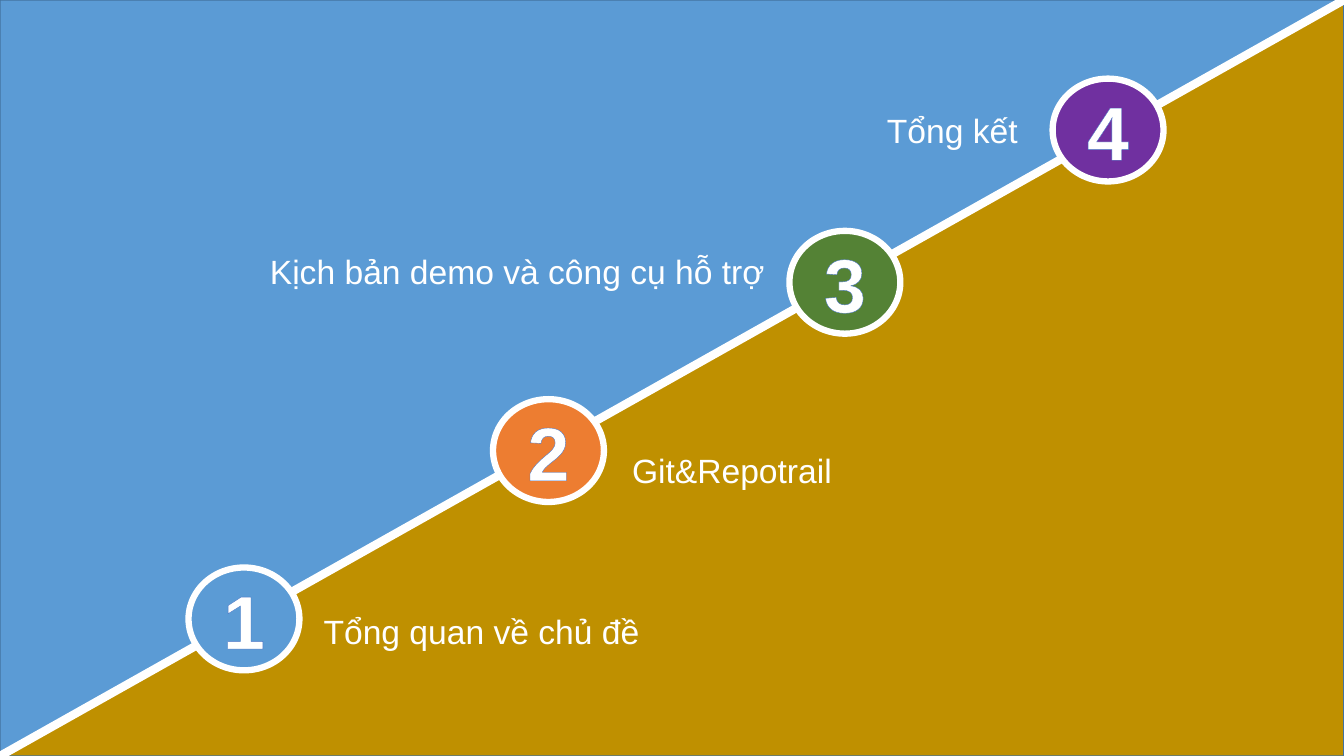
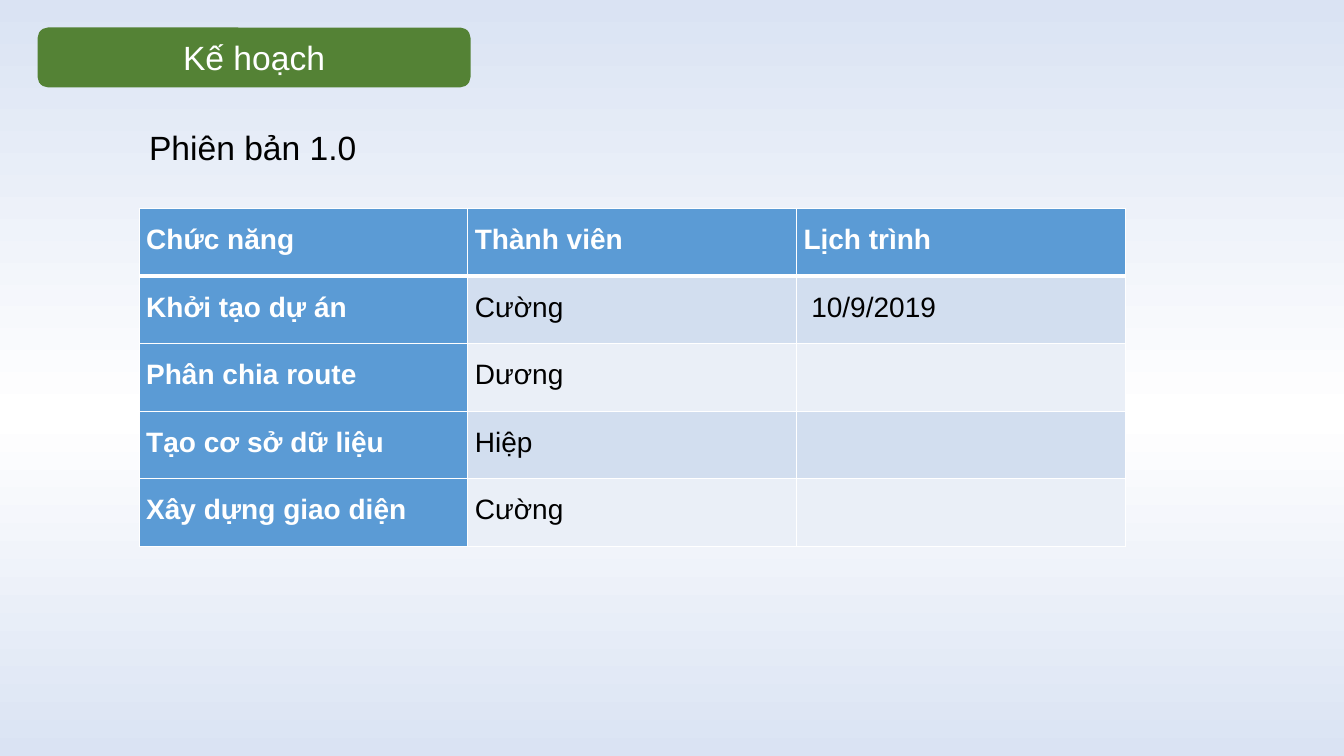
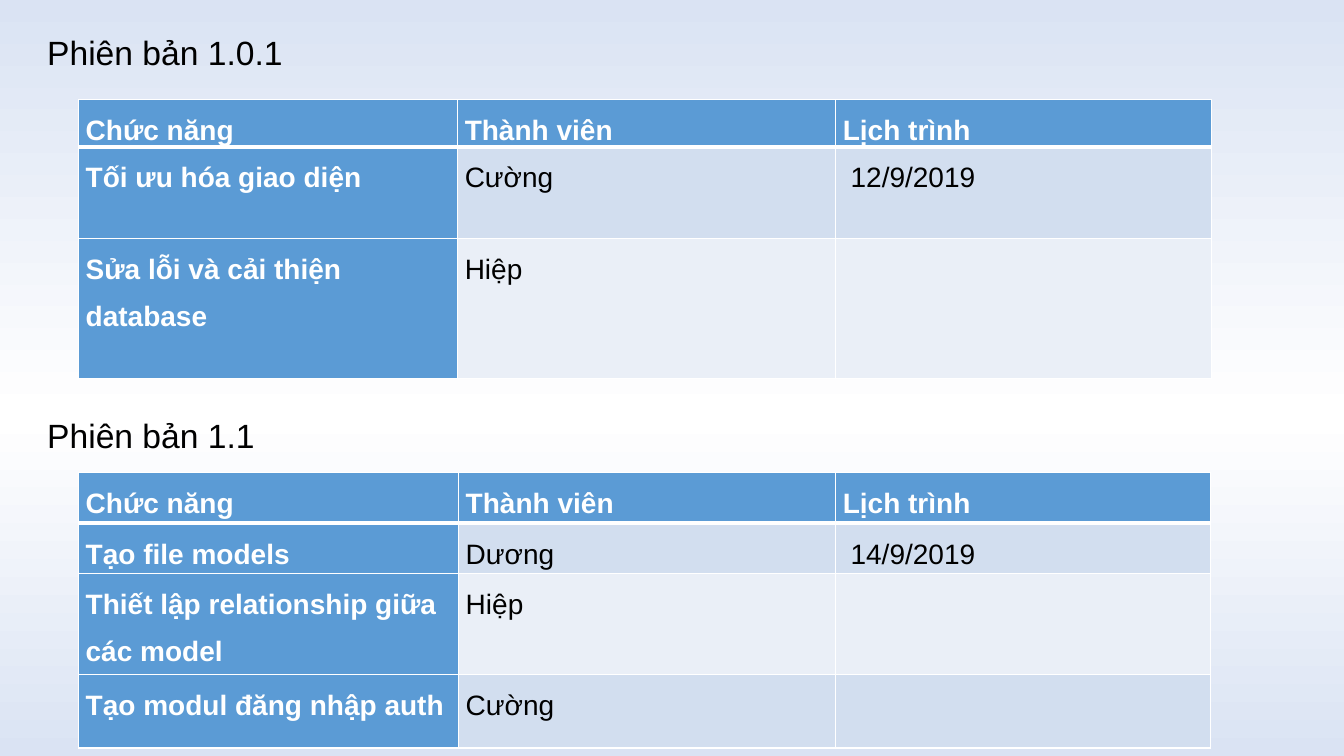
from lxml import etree
from pptx import Presentation
from pptx.dml.color import RGBColor
from pptx.enum.shapes import MSO_CONNECTOR, MSO_SHAPE
from pptx.enum.text import MSO_ANCHOR, MSO_AUTO_SIZE, PP_ALIGN
from pptx.oxml.ns import qn
from pptx.util import Inches, Pt

CENTER, LEFT = PP_ALIGN.CENTER, PP_ALIGN.LEFT
MIDDLE = MSO_ANCHOR.MIDDLE
TRIANGLE, OVAL = MSO_SHAPE.RIGHT_TRIANGLE, MSO_SHAPE.OVAL
ROUNDED = MSO_SHAPE.ROUNDED_RECTANGLE

FONT = "Arial"
WIDTH, HEIGHT = 13.33, 7.5
COLORS = {
    "white": "FFFFFF", "black": "000000", "blue": "5B9BD5", "navy": "43739E",
    "gold": "BF9000", "orange": "ED7D31", "green": "548235", "purple": "7030A0",
    "outline": "4472C4", "haze": "DAE3F3", "band_dark": "D2DEEF", "band_light": "EAEFF7",
}
BACKGROUND = [(0, "haze"), (55, "white"), (100, "haze")]

HALVES = [("blue", "flipV"), ("gold", "flipH")]
CIRCLE_W, CIRCLE_H = 1.1, 1.02
STEPS = [
    ("blue", 1.87, 5.63, "Tổng quan về chủ đề", 3.09, 6.01, 3.37),
    ("orange", 4.89, 3.96, "Git&Repotrail", 6.14, 4.41, 2.24),
    ("green", 7.83, 2.29, "Kịch bản demo và công cụ hỗ trợ", 2.57, 2.44, 5.12),
    ("purple", 10.44, 0.78, "Tổng kết", 8.69, 1.04, 1.51),
]

PLAN_TITLE = "Kế hoạch"
HEADER = ("Chức năng", "Thành viên", "Lịch trình")
VERSION_1_0 = {
    "title": "Phiên bản 1.0", "title_at": (1.38, 1.21, 2.28), "at": (1.38, 2.07),
    "cols": [3.26] * 3, "heights": [0.67] * 5,
    "rows": [
        ("Khởi tạo dự án", "Cường", " 10/9/2019"),
        ("Phân chia route", "Dương", ""),
        ("Tạo cơ sở dữ liệu", "Hiệp", ""),
        ("Xây dựng giao diện", "Cường", ""),
    ],
}
VERSION_1_0_1 = {
    "title": "Phiên bản 1.0.1", "title_at": (0.37, 0.27, 2.56), "at": (0.78, 0.99),
    "cols": [3.76, 3.75, 3.73], "heights": [0.46, 0.91, 1.39],
    "rows": [
        ("Tối ưu hóa giao diện", "Cường", " 12/9/2019"),
        ("Sửa lỗi và cải thiện database", "Hiệp", ""),
    ],
}
VERSION_1_1 = {
    "title": "Phiên bản 1.1", "title_at": (0.37, 4.07, 2.28), "at": (0.78, 4.69),
    "cols": [3.77, 3.74, 3.72], "heights": [0.5, 0.5, 1, 0.73],
    "rows": [
        ("Tạo file models", "Dương", " 14/9/2019"),
        ("Thiết lập relationship giữa các model", "Hiệp", ""),
        ("Tạo modul đăng nhập auth", "Cường", ""),
    ],
}


def rgb(name):
    return RGBColor.from_string(COLORS[name])


def add_color(parent, name):
    etree.SubElement(parent, qn("a:srgbClr"), val=COLORS[name])


def make_line(tag, color, points):
    ln = etree.Element(qn(tag), w=str(Pt(points)))
    add_color(etree.SubElement(ln, qn("a:solidFill")), color)
    return ln


def set_background(master):
    fill = master.background.fill
    fill.gradient()
    fill.gradient_angle = 270
    stops = master._element.find(".//" + qn("p:bg")).find(".//" + qn("a:gsLst"))
    for stop in list(stops):
        stops.remove(stop)
    for percent, color in BACKGROUND:
        add_color(etree.SubElement(stops, qn("a:gs"), pos=str(percent * 1000)), color)


def write(tf, text, size, color, bold=False, align=LEFT):
    tf.text = text
    p = tf.paragraphs[0]
    p.alignment = align
    for r in p.runs:
        r.font.name = FONT
        r.font.size = Pt(size)
        r.font.bold = bold
        r.font.color.rgb = rgb(color)
    return p


def add_shape(slide, kind, x, y, w, h, fill, line, points):
    sp = slide.shapes.add_shape(kind, Inches(x), Inches(y), Inches(w), Inches(h))
    sp.shadow.inherit = False
    sp.fill.solid()
    sp.fill.fore_color.rgb = rgb(fill)
    sp.line.color.rgb = rgb(line)
    sp.line.width = Pt(points)
    return sp


def add_label(slide, text, x, y, w, color, align=LEFT):
    box = slide.shapes.add_textbox(Inches(x), Inches(y), Inches(w), Inches(0.5))
    tf = box.text_frame
    tf.word_wrap = False
    tf.auto_size = MSO_AUTO_SIZE.SHAPE_TO_FIT_TEXT
    tf.vertical_anchor = MIDDLE
    write(tf, text, 24, color, align=align)


def add_step(slide, number, color, x, y, label, label_x, label_y, label_w):
    sp = add_shape(slide, OVAL, x, y, CIRCLE_W, CIRCLE_H, color, "white", 4.5)
    tf = sp.text_frame
    tf.margin_left = tf.margin_right = tf.margin_top = tf.margin_bottom = 0
    tf.word_wrap = False
    tf.vertical_anchor = MIDDLE
    p = write(tf, str(number), 54, "white", True, CENTER)
    p.runs[0].font._element.insert(0, make_line("a:ln", "outline", 0.8))
    add_label(slide, label, label_x, label_y, label_w, "white", CENTER)


def style_cell(cell, text, row, col):
    heading = row == 0 or col == 0
    cell.margin_left = cell.margin_right = Inches(0.07)
    cell.margin_top = cell.margin_bottom = 0
    p = write(cell.text_frame, text, 20, "white" if heading else "black", heading)
    p.line_spacing = 1.5
    tcPr = cell._tc.get_or_add_tcPr()
    top, bottom = (3 if row == 1 else 1), (3 if row == 0 else 1)
    for side, points in (("L", 1), ("R", 1), ("T", top), ("B", bottom)):
        tcPr.append(make_line("a:ln" + side, "white", points))
    cell.fill.solid()
    band = "band_dark" if row % 2 else "band_light"
    cell.fill.fore_color.rgb = rgb("blue" if heading else band)


def add_version(slide, version):
    x, y = version["at"]
    cols, heights = version["cols"], version["heights"]
    rows = [HEADER] + version["rows"]
    table = slide.shapes.add_table(
        len(rows), len(cols), Inches(x), Inches(y),
        Inches(sum(cols)), Inches(sum(heights))).table
    for column, width in zip(table.columns, cols):
        column.width = Inches(width)
    for i, (row, height) in enumerate(zip(rows, heights)):
        table.rows[i].height = Inches(height)
        for j, text in enumerate(row):
            style_cell(table.cell(i, j), text, i, j)
    add_label(slide, version["title"], *version["title_at"], "black")


def build_agenda(slide):
    for color, flip in HALVES:
        sp = add_shape(slide, TRIANGLE, 0, 0, WIDTH, HEIGHT, color, "navy", 1)
        sp._element.spPr.xfrm.set(flip, "1")
    diagonal = slide.shapes.add_connector(
        MSO_CONNECTOR.STRAIGHT, Inches(WIDTH), 0, 0, Inches(HEIGHT))
    diagonal.line.color.rgb = rgb("white")
    diagonal.line.width = Pt(6)
    etree.SubElement(diagonal._element.spPr, qn("a:effectLst"))
    for number, step in enumerate(STEPS, 1):
        add_step(slide, number, *step)


def build_plan(slide):
    sp = add_shape(slide, ROUNDED, 0.38, 0.28, 4.28, 0.58, "green", "green", 1)
    sp.text_frame.vertical_anchor = MIDDLE
    write(sp.text_frame, PLAN_TITLE, 24, "white", align=CENTER)
    add_version(slide, VERSION_1_0)


def build_updates(slide):
    for version in (VERSION_1_0_1, VERSION_1_1):
        add_version(slide, version)


def main():
    prs = Presentation()
    prs.slide_width, prs.slide_height = Inches(WIDTH), Inches(HEIGHT)
    set_background(prs.slide_master)
    for build in (build_agenda, build_plan, build_updates):
        build(prs.slides.add_slide(prs.slide_layouts[6]))
    prs.save("out.pptx")


if __name__ == "__main__":
    main()
